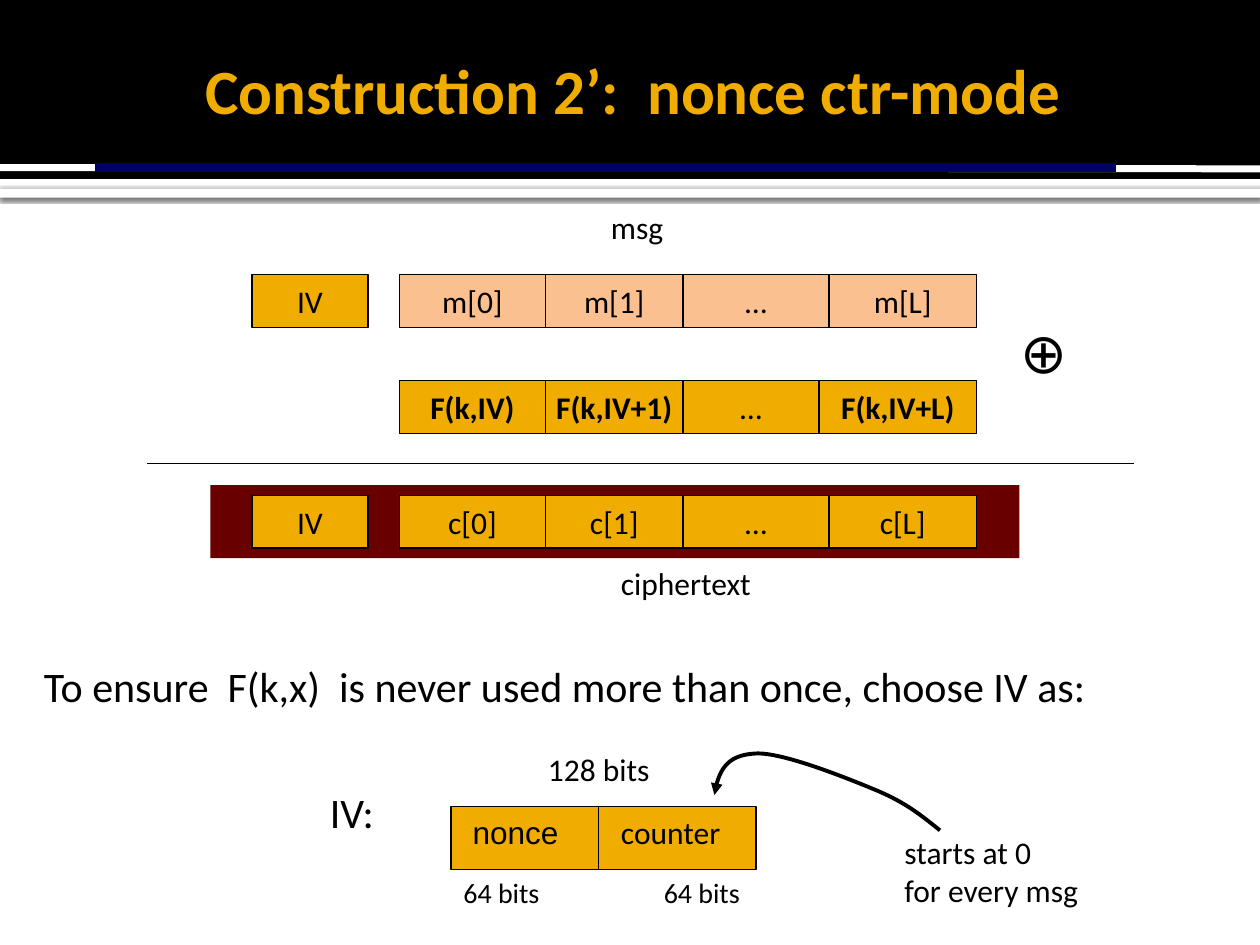
from lxml.etree import SubElement
from pptx import Presentation
from pptx.dml.color import RGBColor
from pptx.enum.shapes import MSO_CONNECTOR, MSO_SHAPE
from pptx.enum.text import MSO_ANCHOR, PP_ALIGN
from pptx.oxml.ns import qn
from pptx.util import Inches, Pt

GOLD, PEACH, BLACK, WHITE = "F0AD00", "FAC090", "000000", "FFFFFF"
NAVY, MAROON = "000066", "680000"

# Content: each row has a top, a fill, cell edges, labels and bold labels
EDGES = [3.17, 4.33, 5.42, 6.58, 7.75]
ROWS = [
    (2.18, PEACH, EDGES, ["m[0]", "m[1]", "…", "m[L]"]),
    (3.02, GOLD, [3.17, 4.33, 5.42, 6.5, 7.75],
     ["F(k,IV)", "F(k,IV+1)", "…", "F(k,IV+L)"]),
    (3.93, GOLD, EDGES, ["c[0]", "c[1]", "…", "c[L]"]),
]
IV_TOPS = [2.18, 3.93]
CELL = 0.42

# Text, left, top, width, height, size
LABELS = [
    ("⊕", 8, 2.47, 0.55, 0.64, 32),
    ("msg", 4.75, 1.6, 0.65, 0.4, 18),
    ("ciphertext", 4.83, 4.43, 1.27, 0.4, 18),
    ("To ensure  F(k,x)  is never used more than once, choose IV as:",
     0.25, 5.19, 8.65, 0.5, 24),
    ("128 bits", 4.25, 5.9, 1.01, 0.4, 18),
    ("counter", 4.83, 6.4, 1.01, 0.4, 18),
    ("IV:", 2.52, 6.19, 0.57, 0.5, 24),
    ("64 bits", 3.58, 6.9, 0.82, 0.37, 16),
    ("64 bits", 5.17, 6.9, 0.82, 0.37, 16),
    ("starts at 0\nfor every msg", 7.08, 6.56, 1.62, 0.71, 18),
]

# Start point, then three points for each cubic piece
CURVE = [(7.46, 6.59),
         (7.31, 6.47), (7.19, 6.37), (6.95, 6.27),
         (6.71, 6.17), (6.21, 5.97), (6, 5.98),
         (5.79, 5.99), (5.69, 6.13), (5.67, 6.31)]

deck = Presentation()
deck.slide_width, deck.slide_height = Inches(10), Inches(7.5)
slide = deck.slides.add_slide(deck.slide_layouts[6])
shapes = slide.shapes


def color(code):
    return RGBColor.from_string(code)


def write(shape, text, size=18, font="Calibri", ink=BLACK, bold=False,
          align=PP_ALIGN.LEFT, anchor=MSO_ANCHOR.TOP, wrap=False, left=0.1):
    frame = shape.text_frame
    frame.word_wrap = wrap
    frame.vertical_anchor = anchor
    frame.margin_left = Inches(left)
    para = frame.paragraphs[0]
    para.text = text
    para.alignment = align
    para.font.size, para.font.name = Pt(size), font
    para.font.bold = bold
    para.font.color.rgb = color(ink)
    return frame


def box(left, top, width, height, fill, edge=None):
    shape = shapes.add_shape(MSO_SHAPE.RECTANGLE, Inches(left), Inches(top),
                             Inches(width), Inches(height))
    shape.shadow.inherit = False
    shape.fill.solid()
    shape.fill.fore_color.rgb = color(fill)
    if edge:
        shape.line.color.rgb = color(edge)
        shape.line.width = Pt(0.75)
    else:
        shape.line.fill.background()
    return shape


def cell(text, left, top, width, fill, bold=False):
    write(box(left, top, width, CELL, fill, BLACK), text, bold=bold,
          align=PP_ALIGN.CENTER, anchor=MSO_ANCHOR.MIDDLE)


def label(text, left, top, width, height, **look):
    area = shapes.add_textbox(Inches(left), Inches(top), Inches(width), Inches(height))
    return write(area, text, **look)


def rule(x1, y1, x2, y2, ink=BLACK, weight=0.75):
    line = shapes.add_connector(MSO_CONNECTOR.STRAIGHT, Inches(x1), Inches(y1),
                                Inches(x2), Inches(y2))
    line.line.color.rgb = color(ink)
    line.line.width = Pt(weight)
    SubElement(line._element.spPr, qn("a:effectLst"))


def arrow(points, weight):
    start, *rest = [(Inches(x), Inches(y)) for x, y in points]
    pen = shapes.build_freeform(*start)
    pen.add_line_segments(rest, close=False)
    shape = pen.convert_to_shape()
    shape.shadow.inherit = False
    shape.fill.background()
    shape.line.color.rgb = color(BLACK)
    shape.line.width = Pt(weight)
    # Turn every three line points into one cubic piece
    track = shape._element.find(".//" + qn("a:path"))
    steps = track.findall(qn("a:lnTo"))
    for first in range(0, len(steps), 3):
        cubic = SubElement(track, qn("a:cubicBezTo"))
        for step in steps[first:first + 3]:
            cubic.append(step[0])
            track.remove(step)
    SubElement(shape.line._get_or_add_ln(), qn("a:tailEnd"), type="triangle")


# Header bands
strip = box(0, 1.5, 10, 0.07, WHITE)
glow = SubElement(strip._element.spPr.find(qn("a:effectLst")), qn("a:outerShdw"),
                  blurRad=str(Pt(2.5)), dist=str(Pt(0.8)), dir="5400000",
                  algn="tl", rotWithShape="0")
shade = SubElement(glow, qn("a:srgbClr"), val=BLACK)
SubElement(shade, qn("a:alpha"), val="60000")
box(0, 0, 10, 1.42, BLACK)
rule(0, 1.33, 10, 1.34, WHITE, 4)
rule(0.75, 1.33, 8.86, 1.33, NAVY, 5)
title = label("Construction 2’:  nonce ctr-mode", 0.25, 0.25, 9.5, 0.92, size=36,
              ink=GOLD, bold=True, align=PP_ALIGN.CENTER,
              anchor=MSO_ANCHOR.MIDDLE, wrap=True)
title.margin_right = Inches(0.05)

# Message, pad and ciphertext rows
box(1.67, 3.85, 6.42, 0.58, MAROON)
for top, fill, edges, names in ROWS:
    for name, left, right in zip(names, edges, edges[1:]):
        cell(name, left, top, right - left, fill, bold=name.startswith("F("))
for top in IV_TOPS:
    cell("IV", 2, top, 0.92, GOLD)
rule(1.17, 3.68, 9, 3.68)

# Layout of the IV
write(box(3.58, 6.4, 2.42, 0.5, GOLD, BLACK), "nonce", font="Arial",
      anchor=MSO_ANCHOR.TOP, wrap=True, left=0.17)
rule(4.75, 6.4, 4.75, 6.9)

# Labels and the arrow to the counter
for text, left, top, width, height, size in LABELS:
    label(text, left, top, width, height, size=size)
arrow(CURVE, 2.25)

deck.save("out.pptx")
